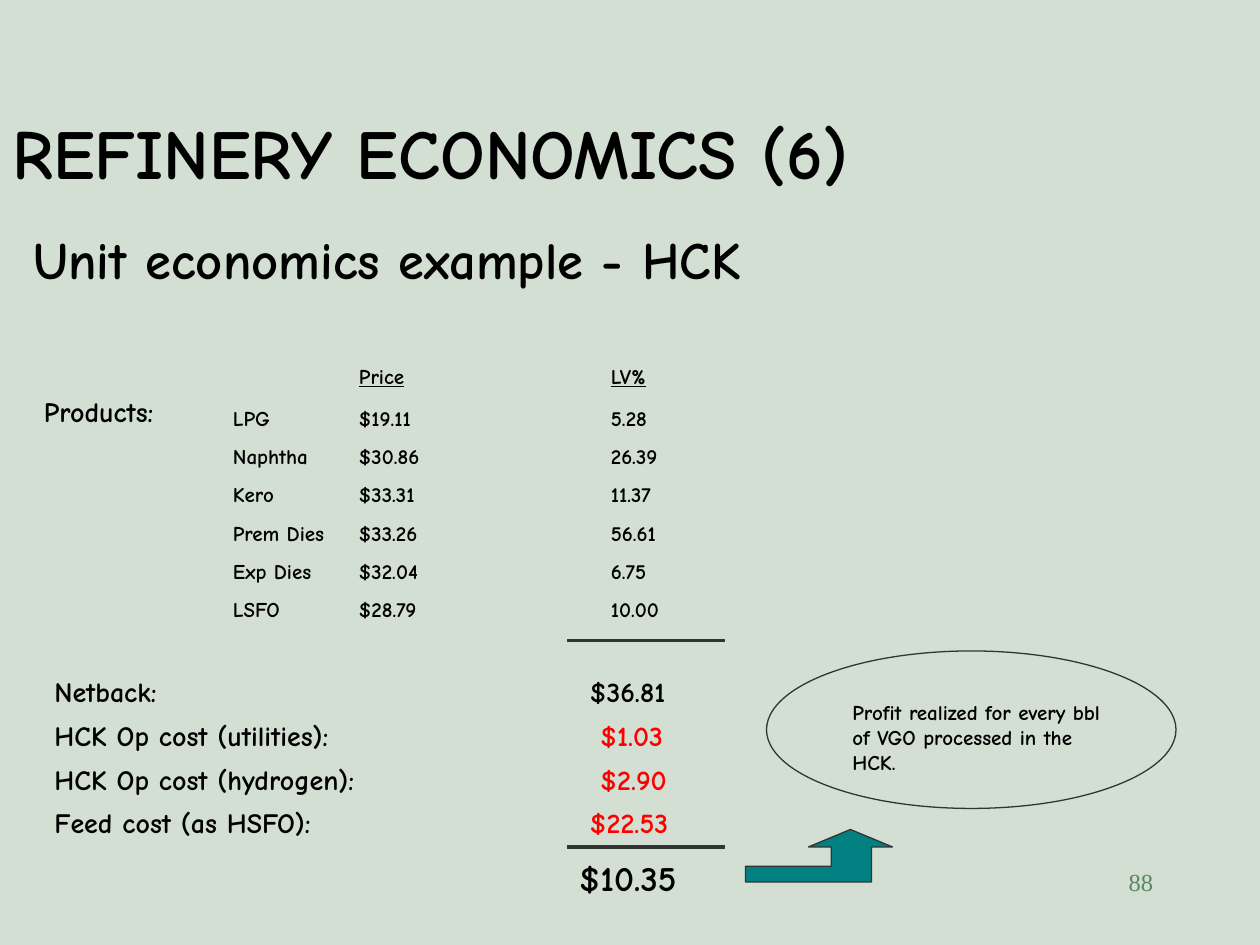
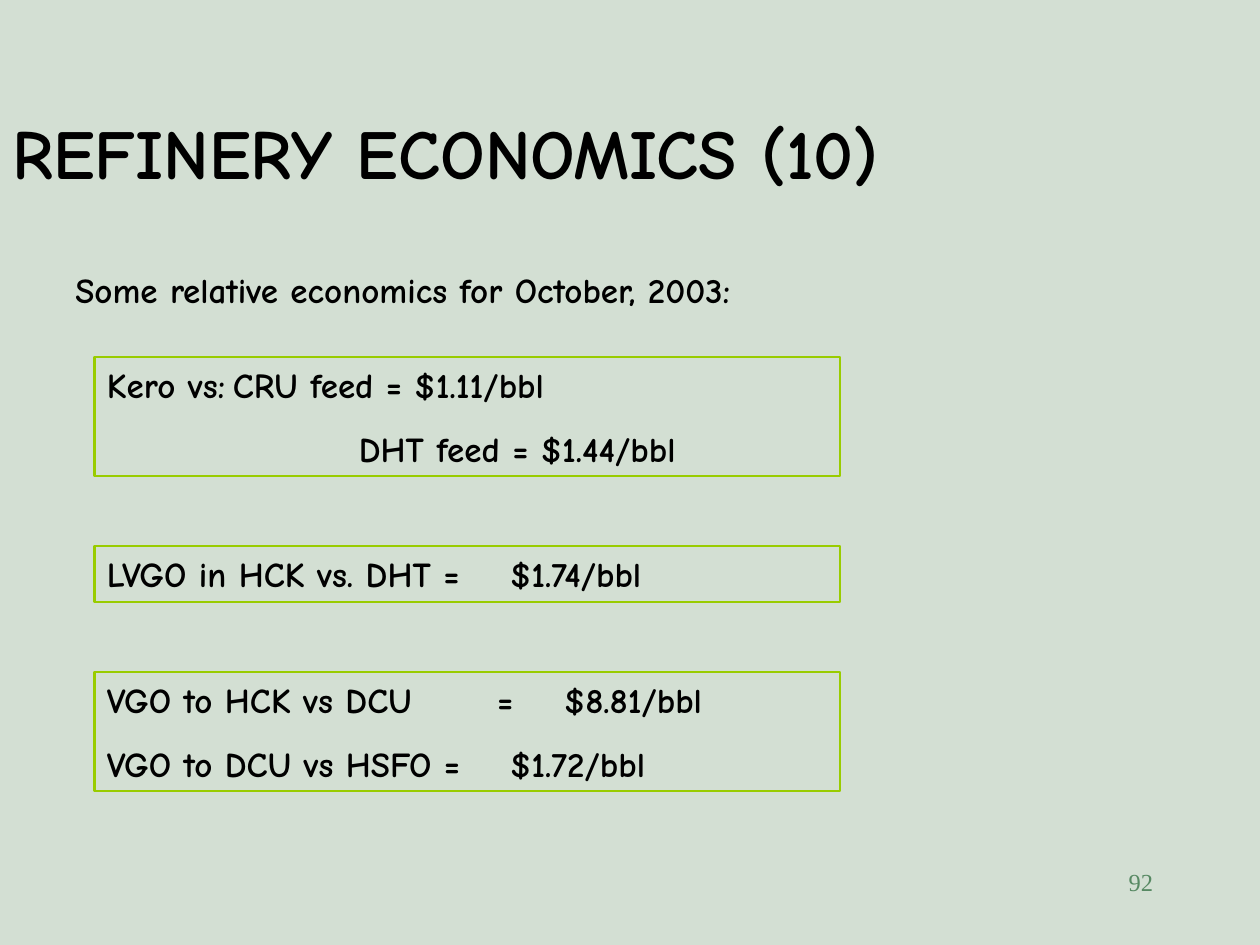
from dataclasses import dataclass

from lxml import etree
from pptx import Presentation
from pptx.dml.color import RGBColor
from pptx.enum.shapes import MSO_CONNECTOR, MSO_SHAPE
from pptx.enum.text import MSO_ANCHOR, PP_ALIGN
from pptx.oxml.ns import qn
from pptx.util import Pt

STRAIGHT = MSO_CONNECTOR.STRAIGHT
RECTANGLE, OVAL = MSO_SHAPE.RECTANGLE, MSO_SHAPE.OVAL
TOP, BOTTOM = MSO_ANCHOR.TOP, MSO_ANCHOR.BOTTOM
LEFT, RIGHT = PP_ALIGN.LEFT, PP_ALIGN.RIGHT

SAGE = RGBColor(0xD3, 0xDF, 0xD3)
BLACK = RGBColor(0, 0, 0)
RED = RGBColor(0xFF, 0, 0)
CHARCOAL = RGBColor(0x33, 0x33, 0x33)
TEAL = RGBColor(0, 0x80, 0x80)
LIME = RGBColor(0x99, 0xCC, 0)
GREEN = RGBColor(0x57, 0x89, 0x63)
BODY_FONT, NUMBER_FONT = "Comic Neue", "Times New Roman"


@dataclass(frozen=True)
class Style:
    size: float
    color: RGBColor = BLACK
    font: str = BODY_FONT
    bold: bool = True
    underline: bool = False
    align: PP_ALIGN = LEFT
    anchor: MSO_ANCHOR = TOP


@dataclass(frozen=True)
class Box:
    left: float
    top: float
    width: float
    height: float

    def lengths(self) -> tuple:
        return Pt(self.left), Pt(self.top), Pt(self.width), Pt(self.height)


@dataclass(frozen=True)
class Line:
    text: str
    tabs: tuple = ()


@dataclass(frozen=True)
class Panel:
    top: float
    height: float
    lines: tuple


@dataclass(frozen=True)
class Cost:
    label: str
    amount: str
    left: float
    color: RGBColor


TITLE = Style(40, anchor=BOTTOM)
SUBTITLE = Style(30)
LARGE = Style(20)
MEDIUM = Style(16)
SMALL = Style(12)
HEADING = Style(12, underline=True)
PAGE_NUMBER = Style(14, GREEN, NUMBER_FONT, bold=False, align=RIGHT)

PRODUCT_TABS = (72, 216)
PRODUCTS = (
    ("LPG", "$19.11", "5.28"),
    ("Naphtha", "$30.86", "26.39"),
    ("Kero", "$33.31", "11.37"),
    ("Prem Dies", "$33.26", "56.61"),
    ("Exp Dies", "$32.04", "6.75"),
    ("LSFO", "$28.79", "10.00"),
)
COSTS = (
    Cost("Netback:", "$36.81", 330, BLACK),
    Cost("HCK Op cost (utilities):", "$1.03", 336, RED),
    Cost("HCK Op cost (hydrogen):", "$2.90", 336, RED),
    Cost("Feed cost (as HSFO):", "$22.53", 330, RED),
)
COST_TOP, COST_PITCH = 382, 25
ARROW = ((426, 495), (475, 495), (475, 484), (462, 484), (486, 474),
         (510, 484), (498, 484), (498, 504), (426, 504))
PANELS = (
    Panel(204, 68, (Line("Kero vs:\tCRU feed = $1.11/bbl", (72,)),
                    Line("\tDHT feed = $1.44/bbl", (144,)))),
    Panel(312, 32, (Line("LVGO in HCK vs. DHT =\t$1.74/bbl", (230.5,)),)),
    Panel(384, 68, (Line("VGO to HCK vs DCU\t=\t$8.81/bbl", (223, 261.5)),
                    Line("VGO to DCU vs HSFO =\t$1.72/bbl", (230.5,)))),
)


def fill_text(shape, lines: tuple, style: Style) -> None:
    tf = shape.text_frame
    tf.word_wrap = True
    tf.vertical_anchor = style.anchor
    for i, line in enumerate(lines):
        p = tf.add_paragraph() if i else tf.paragraphs[0]
        p.text = line.text
        p.alignment = style.align
        if i:
            p.space_before = Pt(style.size * 0.625)
        if line.tabs:
            tab_list = etree.SubElement(p._p.get_or_add_pPr(), qn("a:tabLst"))
            for pos in line.tabs:
                etree.SubElement(tab_list, qn("a:tab"), pos=str(Pt(pos)), algn="l")
        for r in p.runs:
            r.font.name = style.font
            r.font.size = Pt(style.size)
            r.font.bold = style.bold
            r.font.underline = style.underline
            r.font.color.rgb = style.color


def add_text(s, box: Box, text: str, style: Style) -> None:
    fill_text(s.shapes.add_textbox(*box.lengths()), (Line(text),), style)


def outline(shape, color: RGBColor, weight: float) -> None:
    shape.shadow.inherit = False
    shape.line.color.rgb = color
    shape.line.width = Pt(weight)


def add_frame(s, kind: MSO_SHAPE, box: Box, color: RGBColor, weight: float):
    sp = s.shapes.add_shape(kind, *box.lengths())
    sp.fill.background()
    outline(sp, color, weight)
    return sp


def add_sum_rule(s, y: float) -> None:
    c = s.shapes.add_connector(STRAIGHT, Pt(324), Pt(y), Pt(414), Pt(y))
    c.line.color.rgb = CHARCOAL
    c.line.width = Pt(2.25)
    etree.SubElement(c._element.spPr, qn("a:effectLst"))


def add_slide(prs, number: int, page: str):
    """Add a slide with the shared title and page number."""
    s = prs.slides.add_slide(prs.slide_layouts[6])
    add_text(s, Box(0, 36, 720, 78), f"REFINERY ECONOMICS ({number})", TITLE)
    add_text(s, Box(516, 492, 150, 36), page, PAGE_NUMBER)
    return s


def build_unit_economics(prs) -> None:
    s = add_slide(prs, 6, "88")
    add_text(s, Box(12, 126, 588, 43), "Unit economics example - HCK", SUBTITLE)

    # Product prices and yields
    add_text(s, Box(18, 222, 102, 27), "Products:", MEDIUM)
    for left, heading in ((198, "Price"), (342, "LV%")):
        add_text(s, Box(left, 204, 96, 22), heading, HEADING)
    products = s.shapes.add_textbox(*Box(126, 228, 294, 131).lengths())
    fill_text(products, tuple(Line("\t".join(row), PRODUCT_TABS) for row in PRODUCTS), SMALL)
    add_sum_rule(s, 366)

    # Netback less costs
    for i, cost in enumerate(COSTS):
        top = COST_TOP + i * COST_PITCH
        add_text(s, Box(24, top, 222, 27), cost.label, MEDIUM)
        add_text(s, Box(cost.left, top, 102, 27), cost.amount, Style(16, cost.color))
    add_sum_rule(s, 484)
    add_text(s, Box(324, 486, 138, 32), "$10.35", LARGE)

    # Profit callout
    builder = s.shapes.build_freeform(*ARROW[0], scale=Pt(1))
    builder.add_line_segments(ARROW[1:], close=True)
    arrow = builder.convert_to_shape()
    arrow.fill.solid()
    arrow.fill.fore_color.rgb = TEAL
    outline(arrow, CHARCOAL, 0.75)
    add_frame(s, OVAL, Box(438, 372, 234, 90), CHARCOAL, 0.75)
    add_text(s, Box(480, 396, 162, 50),
             "Profit realized for every bbl of VGO processed in the HCK.", SMALL)


def build_relative_economics(prs) -> None:
    s = add_slide(prs, 10, "92")
    add_text(s, Box(36, 150, 468, 32), "Some relative economics for October, 2003:", LARGE)
    for panel in PANELS:
        sp = add_frame(s, RECTANGLE, Box(54, panel.top, 426, panel.height), LIME, 1.25)
        fill_text(sp, panel.lines, LARGE)


def main() -> None:
    prs = Presentation()
    prs.slide_width, prs.slide_height = Pt(720), Pt(540)
    background = prs.slide_master.background.fill
    background.solid()
    background.fore_color.rgb = SAGE
    build_unit_economics(prs)
    build_relative_economics(prs)
    prs.save("out.pptx")


if __name__ == "__main__":
    main()
